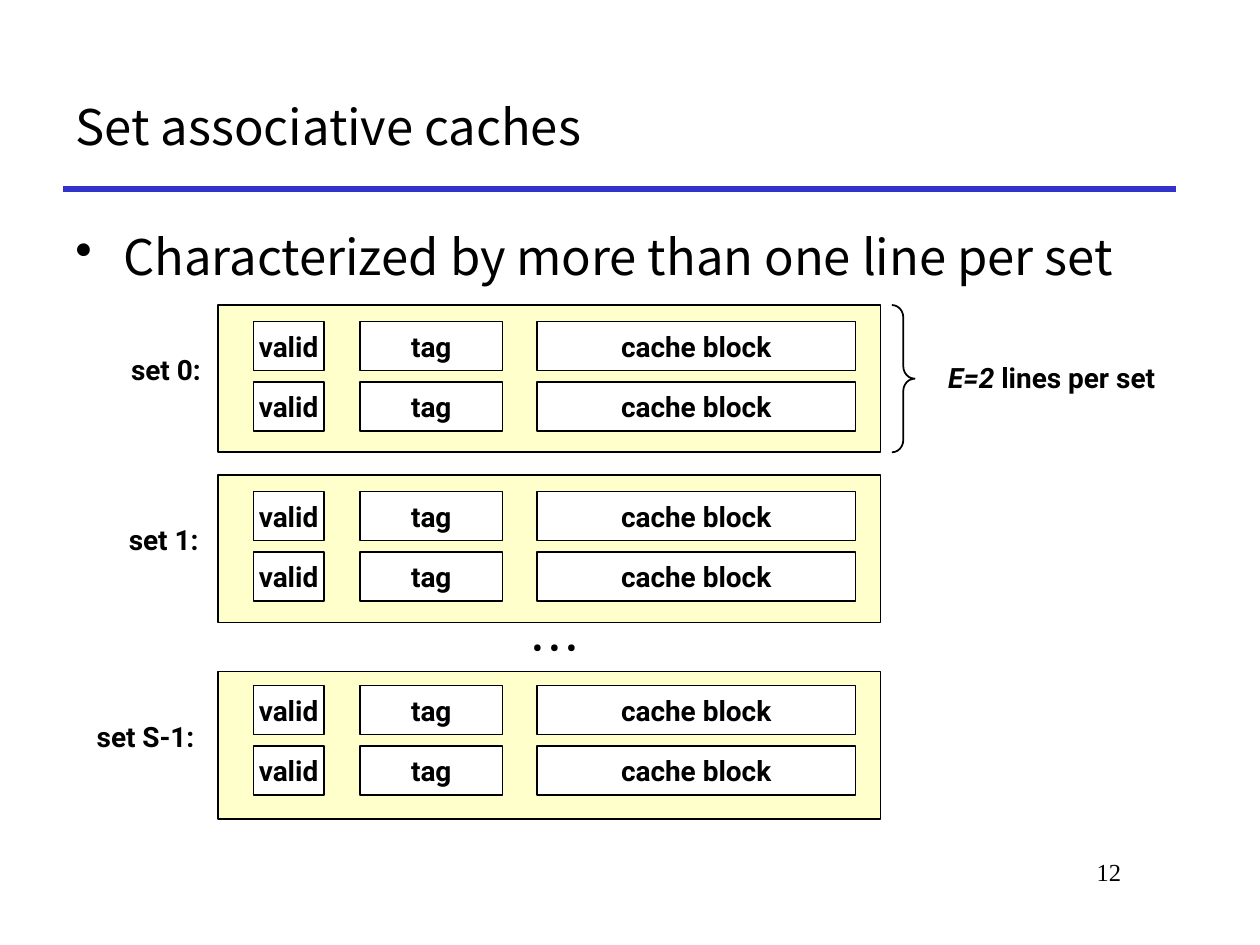
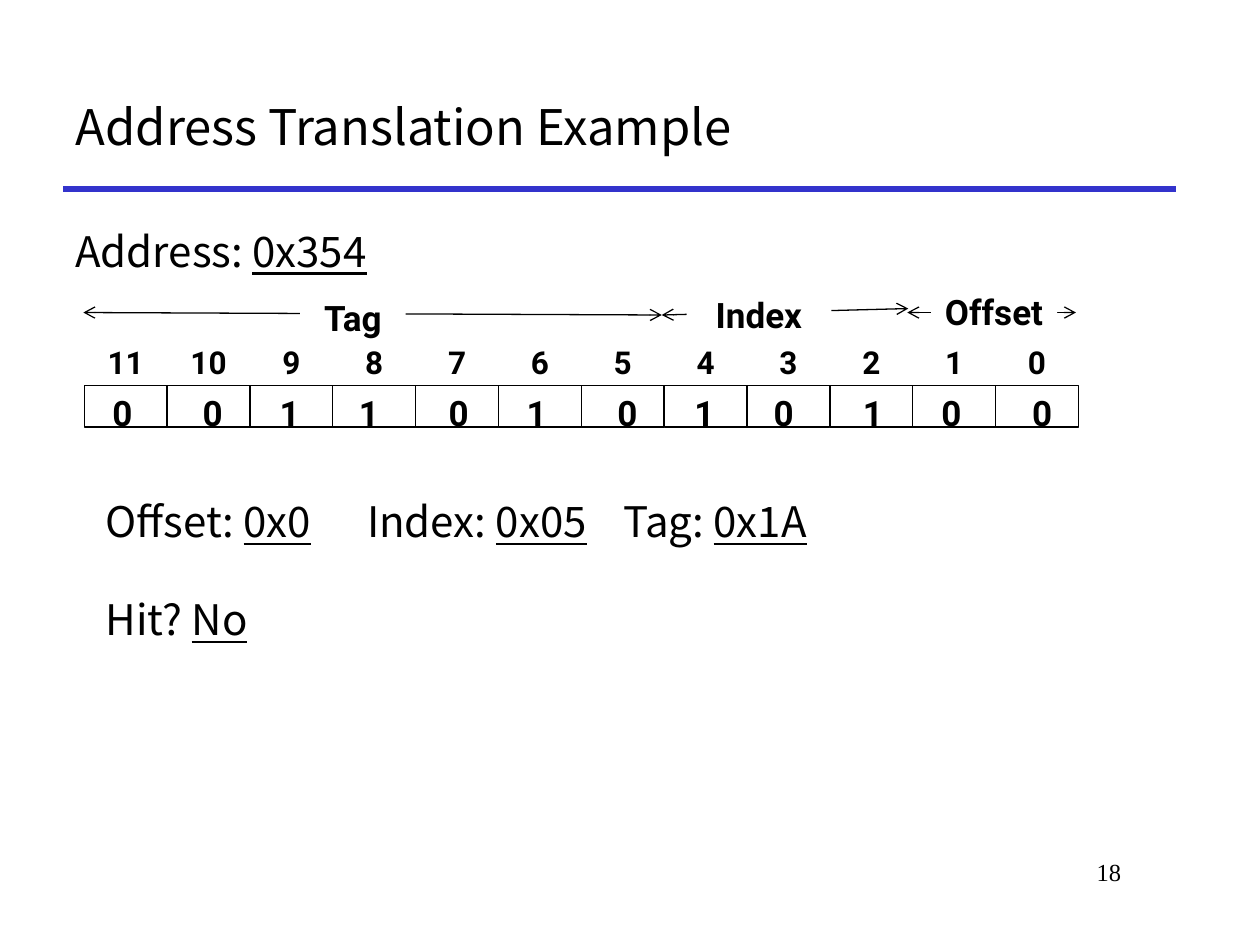
from lxml.etree import SubElement
from pptx import Presentation
from pptx.dml.color import RGBColor
from pptx.enum.shapes import MSO_CONNECTOR, MSO_SHAPE
from pptx.enum.text import MSO_ANCHOR, PP_ALIGN
from pptx.oxml.ns import qn
from pptx.util import Cm, Pt

BLACK, WHITE, BLUE, CREAM = "000000", "FFFFFF", "3333CC", "FFFF99"
SANS, BOLD, SERIF = "Noto Sans CJK KR", "Roboto", "Times New Roman"
LEFT, MID, RIGHT = PP_ALIGN.LEFT, PP_ALIGN.CENTER, PP_ALIGN.RIGHT


def paint(target, color):
    """Give a font, fill or line format a solid colour."""
    if hasattr(target, "solid"):
        target.solid()
        target.fore_color.rgb = RGBColor.from_string(color)
    else:
        target.color.rgb = RGBColor.from_string(color)


class Deck:
    def __init__(self):
        self.prs = Presentation()
        self.prs.slide_width, self.prs.slide_height = Cm(25.4), Cm(19.05)
        self.slide = None

    def page(self, title, number):
        """Start a slide with its title, rule and number."""
        self.slide = self.prs.slides.add_slide(self.prs.slide_layouts[5])
        head = self.slide.shapes.title
        head.left, head.top, head.width, head.height = map(Cm, (1.27, 1.27, 22.43, 2.54))
        self.label(head, title, 28, SANS, LEFT, wrap=True)
        self.line(1.27, 3.81, 23.7, 3.81, BLUE, 3)
        self.text(19.25, 17.15, 3.6, 1.27, str(number), 14, SERIF, RIGHT,
                  MSO_ANCHOR.TOP, wrap=True)

    def label(self, shape, text, size=16, face=BOLD, align=MID,
              anchor=MSO_ANCHOR.MIDDLE, wrap=False, space=None):
        frame = shape.text_frame
        frame.word_wrap, frame.vertical_anchor = wrap, anchor
        self.fill(frame.paragraphs[0], text, size, face, align, space)

    def fill(self, para, text, size, face, align=LEFT, space=None):
        """Fill a paragraph with a string or with (text, style) pairs."""
        if isinstance(text, str):
            para.text = text
        else:
            for part, style in text:
                run = para.add_run()
                run.text = part
                run.font.underline = style == "under"
                run.font.italic = style == "italic"
        para.alignment = align
        if space:
            para.line_spacing = space
        for run in para.runs:
            run.font.size, run.font.name = Pt(size), face
            run.font.bold = face == BOLD
            paint(run.font, BLACK)

    def text(self, x, y, w, h, text, *args, **style):
        box = self.slide.shapes.add_textbox(Cm(x), Cm(y), Cm(w), Cm(h))
        self.label(box, text, *args, **style)
        return box

    def shape(self, x, y, w, h, fill=None, line=1, kind=MSO_SHAPE.RECTANGLE):
        item = self.slide.shapes.add_shape(kind, Cm(x), Cm(y), Cm(w), Cm(h))
        item.shadow.inherit = False
        if fill:
            paint(item.fill, fill)
        else:
            item.fill.background()
        if line:
            paint(item.line, BLACK)
            item.line.width = Pt(line)
        else:
            item.line.fill.background()
        return item

    def line(self, x1, y1, x2, y2, color=BLACK, width=0.75, arrows=False):
        item = self.slide.shapes.add_connector(
            MSO_CONNECTOR.STRAIGHT, Cm(x1), Cm(y1), Cm(x2), Cm(y2))
        paint(item.line, color)
        item.line.width = Pt(width)
        if arrows:
            edge = item._element.spPr.find(qn("a:ln"))
            for end in ("a:headEnd", "a:tailEnd"):
                SubElement(edge, qn(end), type="arrow")
        SubElement(item._element.spPr, qn("a:effectLst"))

    def bullet(self, x, y, w, h, text):
        box = self.text(x, y, w, h, "", wrap=True, anchor=MSO_ANCHOR.TOP)
        para = box.text_frame.paragraphs[0]
        props = para._p.get_or_add_pPr()
        props.set("marL", str(Cm(0.97)))
        props.set("indent", str(-Cm(0.97)))
        SubElement(props, qn("a:buChar"), char="•")
        self.fill(para, text, 28, SANS)

    def tabs(self, para, *stops):
        row = SubElement(para._p.get_or_add_pPr(), qn("a:tabLst"))
        for stop in stops:
            SubElement(row, qn("a:tab"), pos=str(Cm(stop)), algn="l")


def caches(deck):
    deck.page("Set associative caches", 12)
    deck.bullet(1.27, 4.45, 23.06, 1.7, "Characterized by more than one line per set")

    # Sets, each with two lines of three fields
    fields = [("valid", 5.11, 1.42), ("tag", 7.26, 2.87), ("cache block", 10.82, 6.43)]
    sets = [("set 0:", 6.15, 0.33, 2.34, 2.01),
            ("set 1:", 9.58, 0.33, 2.31, 1.98),
            ("set S-1:", 13.54, 0.28, 1.65, 2.57)]
    for name, top, pad, left, width in sets:
        back = deck.shape(4.39, top, 13.36, 2.97, CREAM)
        tint = back._element.spPr.find(qn("a:solidFill"))[0]
        SubElement(tint, qn("a:alpha"), val="50000")
        deck.text(left, top + 0.83, width, 0.94, name)
        for row in range(2):
            for field, x, w in fields:
                cell = deck.shape(x, top + pad + row * 1.22, w, 0.99, WHITE)
                deck.label(cell, field)
    deck.text(10.11, 12.55, 2.13, 0.99, "• • •")

    # Brace and its label
    brace = deck.shape(17.98, 6.15, 0.46, 2.97, kind=MSO_SHAPE.RIGHT_BRACE)
    brace.adjustments[0] = 0.54
    deck.text(18.62, 7.14, 5.16, 0.94, [("E=2", "italic"), (" lines per set", "")])


def address(deck):
    deck.page("Address Translation Example", 18)
    top = MSO_ANCHOR.TOP
    deck.text(1.27, 4.01, 8, 1.55, [("Address: ", ""), ("0x354", "under")],
              24, SANS, LEFT, top, True, 1.4)

    # Spans of the address parts
    spans = [("Offset", (18.29, 6.3, 21.69, 6.3), (18.77, 5.82, 2.54)),
             ("Index", (13.34, 6.35, 18.31, 6.22), (13.84, 5.89, 2.92)),
             ("Tag", (1.68, 6.3, 13.34, 6.35), (6.05, 5.94, 2.13))]
    for name, ends, (x, y, w) in spans:
        deck.line(*ends, arrows=True)
        patch = deck.shape(x, y, w, 1.02, WHITE, line=None)
        deck.label(patch, name, 20, anchor=top, space=0.9)

    # Bit numbers, cells and values
    places = [1.91, 3.73, 5.28, 6.88, 8.69, 10.26,
              12.09, 13.64, 15.24, 17.04, 18.62, 20.45]
    for col, (bit, place) in enumerate(zip("001101010100", places)):
        x = 1.7 + col * 1.67
        deck.shape(x, 7.77, 1.67, 0.84, line=0.75)
        deck.text(x, 6.93, 1.67, 0.84, str(11 - col), 18, space=0.9)
        deck.text(place, 7.77, 1.12, 1.12, bit, 20, anchor=top)

    # Answers
    parts = [("Offset: ", ""), ("0x0", "under"), ("\tIndex: ", ""), ("0x05", "under"),
             ("\tTag: ", ""), ("0x1A", "under")]
    box = deck.text(1.88, 9.98, 17, 3.43, parts, 24, SANS, LEFT, top, True, 0.9)
    frame = box.text_frame
    deck.tabs(frame.paragraphs[0], 5.27, 10.44)
    hit = frame.add_paragraph()
    deck.fill(hit, [("Hit? ", ""), ("No", "under")], 24, SANS, space=0.9)
    hit.space_before = Pt(30)


def main():
    deck = Deck()
    caches(deck)
    address(deck)
    deck.prs.save("out.pptx")


if __name__ == "__main__":
    main()
